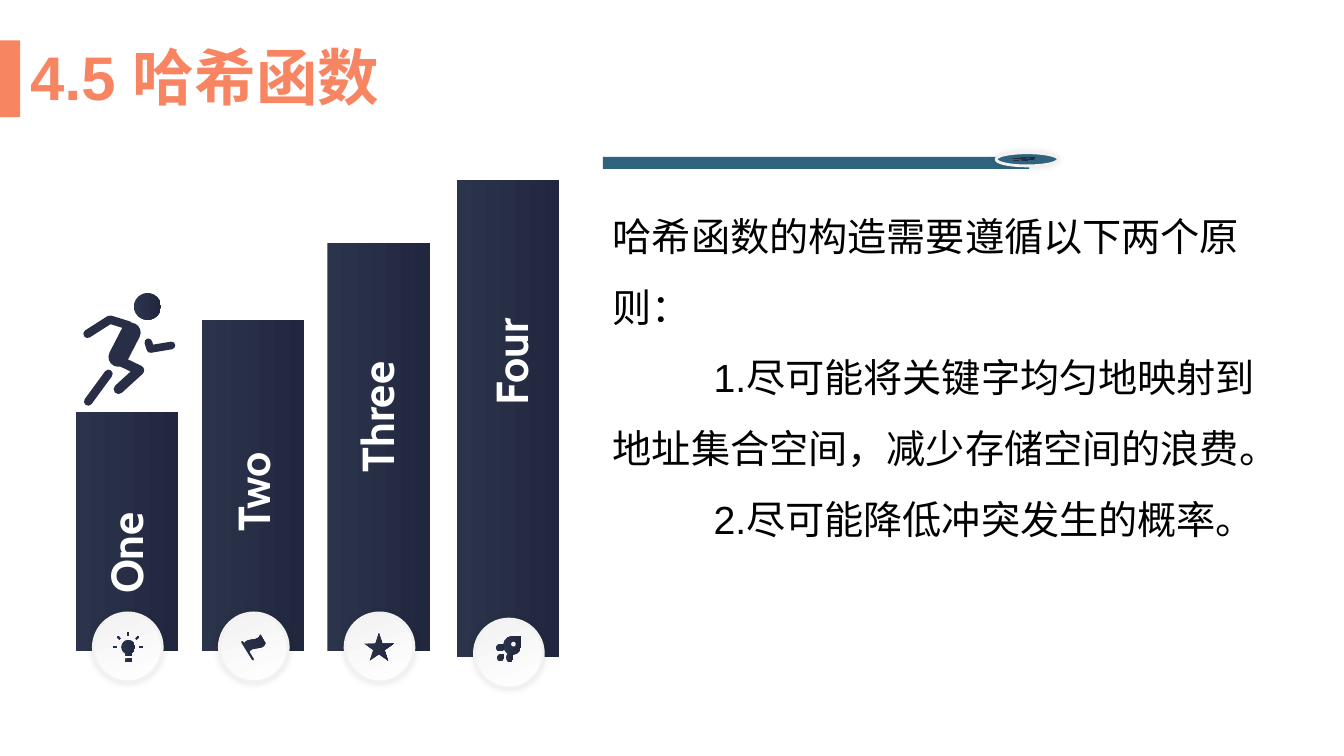
from math import cos, radians, sin

from lxml import etree
from pptx import Presentation
from pptx.dml.color import RGBColor
from pptx.enum.shapes import MSO_SHAPE
from pptx.enum.text import MSO_ANCHOR
from pptx.oxml.ns import qn
from pptx.util import Pt

RECTANGLE, ROUNDED, OVAL = MSO_SHAPE.RECTANGLE, MSO_SHAPE.ROUNDED_RECTANGLE, MSO_SHAPE.OVAL
TEAR, STAR, WAVE = MSO_SHAPE.TEAR, MSO_SHAPE.STAR_5_POINT, MSO_SHAPE.WAVE
MIDDLE, TOP = MSO_ANCHOR.MIDDLE, MSO_ANCHOR.TOP
COLOURS = {
    "coral": "F88562", "teal": "2F637E", "navy": "2C344B", "night": "21273E",
    "ink": "272E45", "white": "FFFFFF", "mist": "F2F2F2", "black": "000000",
}
NAVY = ("navy", "night")


def draw(kind, left, top, width, height, stops=NAVY, angle=0, line=None, shadow=False, rotation=0):
    shape = page.shapes.add_shape(kind, Pt(left), Pt(top), Pt(width), Pt(height))
    shape.rotation = rotation
    shape.shadow.inherit = False
    if len(stops) == 1:
        shape.fill.solid()
        shape.fill.fore_color.rgb = RGBColor.from_string(COLOURS[stops[0]])
    else:
        shape.fill.gradient()
        shape.fill.gradient_angle = angle
        for position, (stop, name) in enumerate(zip(shape.fill.gradient_stops, stops)):
            stop.color.rgb = RGBColor.from_string(COLOURS[name])
            stop.position = position
    if line:
        shape.line.color.rgb = RGBColor.from_string(COLOURS[line])
        shape.line.width = Pt(2)
    else:
        shape.line.fill.background()
    if shadow:
        effects = shape._element.spPr.find(qn("a:effectLst"))
        outer = etree.SubElement(effects, qn("a:outerShdw"), blurRad=str(Pt(5)), dist="0", dir="0")
        colour = etree.SubElement(outer, qn("a:srgbClr"), val=COLOURS["black"])
        etree.SubElement(colour, qn("a:alpha"), val="11000")


def write(text, left, top, width, height, size=28, font="Arial", colour="black", bold=False,
          spacing=1.0, anchor=TOP, inset=7.2, rotation=0, indents=(0,)):
    box = page.shapes.add_textbox(Pt(left), Pt(top), Pt(width), Pt(height))
    box.rotation = rotation
    frame = box.text_frame
    frame.word_wrap = True
    frame.vertical_anchor = anchor
    frame.margin_left = Pt(inset)
    frame.text = text
    for para, indent in zip(frame.paragraphs, indents):
        para.line_spacing = spacing
        if indent:
            properties = para._p.get_or_add_pPr()
            properties.set("marL", "0")
            properties.set("indent", str(Pt(indent)))
        for span in para.runs:
            span.font.size = Pt(size)
            span.font.name = font
            span.font.bold = bold
            span.font.color.rgb = RGBColor.from_string(COLOURS[colour])


deck = Presentation()
deck.slide_width, deck.slide_height = Pt(960), Pt(540)
page = deck.slides.add_slide(deck.slide_layouts[6])

draw(RECTANGLE, 0, 28.8, 14.4, 54.9, stops=("coral",))
write("4.5 哈希函数", 14.4, 29.5, 931.7, 55.4, size=44, colour="coral", bold=True,
      spacing=0.9, anchor=MIDDLE)
write("哈希函数的构造需要遵循以下两个原则：\n"
      "1.尽可能将关键字均匀地映射到地址集合空间，减少存储空间的浪费。\n"
      "2.尽可能降低冲突发生的概率。",
      430.6, 131.4, 483.1, 261.4, spacing=1.5, indents=(0, 72, 72))

bar_width, badge_size, label_height = 73.4, 49.2, 46
bars = [
    {"name": "One", "left": 54, "top": 294.5, "bottom": 465,
     "label": (90, 378), "length": 106.6, "inset": 7.2},
    {"name": "Two", "left": 144, "top": 228.4, "bottom": 465,
     "label": (180.7, 347.8), "length": 106.6, "inset": 21.6},
    {"name": "Three", "left": 233.8, "top": 173.5, "bottom": 465,
     "label": (268.9, 294.5), "length": 128.9, "inset": 21.6},
    {"name": "Four", "left": 326.2, "top": 128.9, "bottom": 469.4,
     "label": (365, 265), "length": 106.6, "inset": 28.8},
]
for bar in bars:
    draw(RECTANGLE, bar["left"], bar["top"], bar_width, bar["bottom"] - bar["top"])
    badge_left = bar["left"] + (bar_width - badge_size) / 2 + 0.6
    draw(OVAL, badge_left, bar["bottom"] - 27.2, badge_size, badge_size,
         stops=("white", "mist"), angle=110, line="mist", shadow=True)
    centre, middle = bar["label"]
    write(bar["name"], centre - bar["length"] / 2, middle - label_height / 2, bar["length"],
          label_height, size=32, font="Cabin", colour="white", bold=True, rotation=270,
          inset=bar["inset"])

bulb_x, bulb_y, ray_reach, ray_length, ray_width = 91.5, 462.2, 9.2, 2.6, 1.3
draw(OVAL, bulb_x - 5, bulb_y - 5, 10, 10)
draw(RECTANGLE, bulb_x - 2.5, bulb_y + 3, 5, 3.6)
draw(ROUNDED, bulb_x - 2.5, bulb_y + 8, 5, 2.8)
for degrees in range(0, 181, 45):
    ray_x = bulb_x + ray_reach * cos(radians(degrees))
    ray_y = bulb_y - ray_reach * sin(radians(degrees))
    draw(ROUNDED, ray_x - ray_length / 2, ray_y - ray_width / 2, ray_length, ray_width,
         rotation=-degrees)

draw(WAVE, 174.8, 455.2, 14, 9.5, rotation=-30)
draw(STAR, 260.1, 452.2, 21.2, 19.7)

draw(RECTANGLE, 430.6, 112, 304.6, 8.6, stops=("teal",))
draw(OVAL, 711.4, 109.1, 44.6, 9.4, stops=("teal",), line="mist", shadow=True)

rocket_parts = {
    "body": (TEAR, 0.28, 0, 0.72, 0.72),
    "left fin": (TEAR, 0, 0.31, 0.33, 0.28),
    "right fin": (TEAR, 0.4, 0.65, 0.28, 0.35),
    "flame": (TEAR, 0.04, 0.7, 0.26, 0.26),
    "window": (OVAL, 0.6, 0.22, 0.18, 0.18),
}
rockets = [(354.2, 454.3, 18.2, 18.7, "mist"), (723, 112, 16.4, 3.2, "teal")]
for left, top, width, height, backdrop in rockets:
    for part, (kind, x, y, wide, high) in rocket_parts.items():
        draw(kind, left + x * width, top + y * height, wide * width, high * height,
             stops=(backdrop,) if part == "window" else NAVY)

draw(OVAL, 95.6, 209.5, 19.4, 19)
strokes = {
    "torso": (14, [(93.5, 237.5), (84.5, 255)]),
    "rear arm": (6, [(62.5, 238.5), (78.5, 228.3), (92, 232.5)]),
    "front arm": (5.5, [(106, 244.5), (107.5, 249.3), (122.5, 246.8)]),
    "front leg": (7, [(85, 257.5), (99.5, 264.5), (84.7, 278)]),
    "rear leg": (6, [(77.5, 267), (63, 286.8)]),
    "flag pole": (1.5, [(173, 458.5), (180.7, 471)]),
}
for width, joints in strokes.values():
    start, *rest = [(Pt(x), Pt(y)) for x, y in joints]
    builder = page.shapes.build_freeform(*start)
    builder.add_line_segments(rest, close=False)
    stroke = builder.convert_to_shape()
    stroke.shadow.inherit = False
    stroke.fill.background()
    stroke.line.color.rgb = RGBColor.from_string(COLOURS["ink"])
    stroke.line.width = Pt(width)
    outline = stroke._element.spPr.find(qn("a:ln"))
    outline.set("cap", "rnd")
    etree.SubElement(outline, qn("a:round"))

deck.save("out.pptx")
